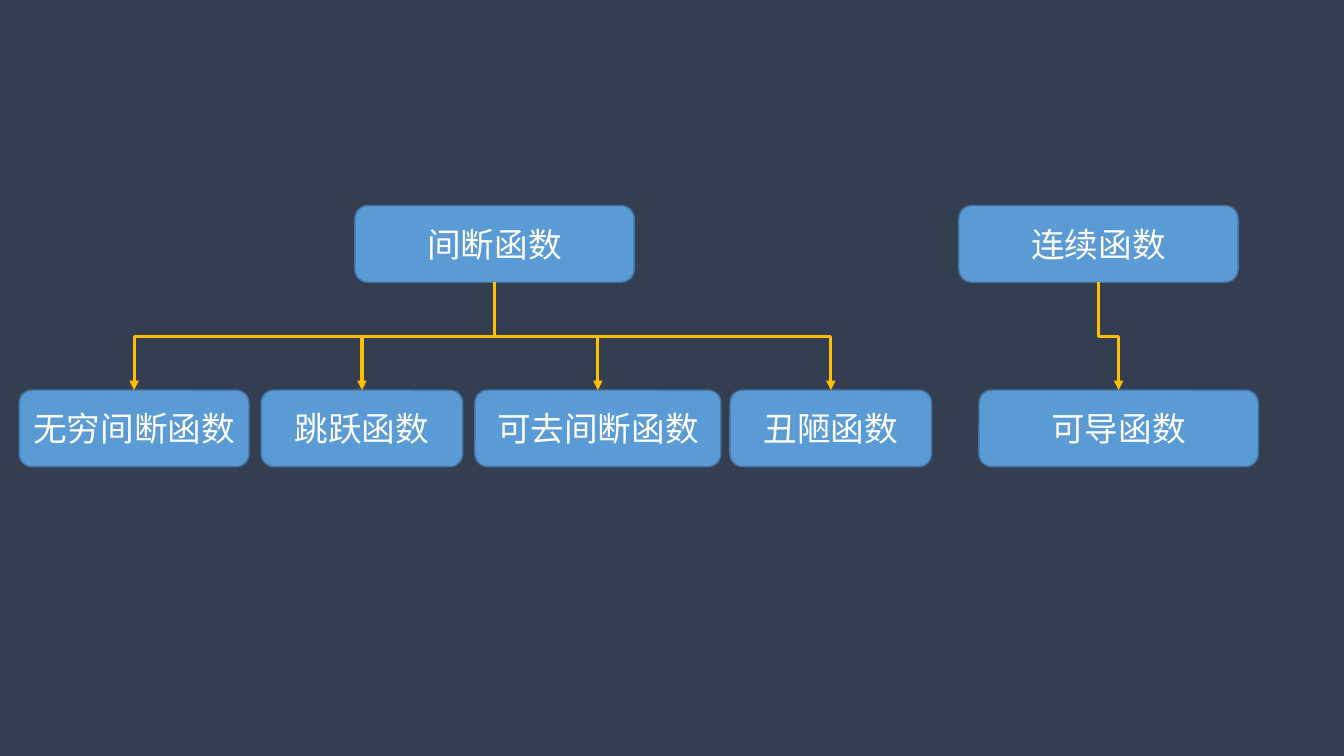
from lxml.etree import SubElement
from pptx import Presentation
from pptx.dml.color import RGBColor
from pptx.enum.shapes import MSO_CONNECTOR, MSO_SHAPE
from pptx.enum.text import MSO_ANCHOR, PP_ALIGN
from pptx.oxml.ns import qn
from pptx.util import Inches, Pt

FONT = "Noto Sans CJK SC"
BOX_HEIGHT = 0.76
PARENT_TOP, CHILD_TOP = 2.04, 3.87
BOTTOM_SITE, TOP_SITE = 2, 0

# Each tree: parent (text, left, width), then its children.
TREES = [
    (("连续函数", 9.51, 2.77), [("可导函数", 9.71, 2.77)]),
    (("间断函数", 3.52, 2.77), [
        ("无穷间断函数", 0.19, 2.28),
        ("跳跃函数", 2.59, 2),
        ("可去间断函数", 4.71, 2.44),
        ("丑陋函数", 7.24, 2),
    ]),
]


def color(value):
    return RGBColor.from_string(value)


def add_text(tf, text, size=24, fill="FFFFFF", align=PP_ALIGN.CENTER):
    tf.word_wrap = True
    tf.vertical_anchor = MSO_ANCHOR.MIDDLE
    p = tf.paragraphs[0]
    p.alignment = align
    r = p.add_run()
    r.text = text
    r.font.size = Pt(size)
    r.font.name = FONT
    r.font.color.rgb = color(fill)
    SubElement(r.font._element, qn("a:ea"), typeface=FONT)


def add_box(slide, text, left, width, top):
    sp = slide.shapes.add_shape(
        MSO_SHAPE.ROUNDED_RECTANGLE,
        Inches(left), Inches(top), Inches(width), Inches(BOX_HEIGHT))
    sp.shadow.inherit = False
    sp.fill.solid()
    sp.fill.fore_color.rgb = color("5B9BD5")
    sp.line.color.rgb = color("43739E")
    sp.line.width = Pt(1)
    add_text(sp.text_frame, text)
    return sp


def add_elbow_arrow(slide, parent, child):
    """Join parent's bottom to child's top, leaving and arriving vertically."""
    cxn = slide.shapes.add_connector(MSO_CONNECTOR.ELBOW, 0, 0, 0, 0)
    cxn.begin_connect(parent, BOTTOM_SITE)
    cxn.end_connect(child, TOP_SITE)
    x1, y1 = parent.left + parent.width // 2, parent.top + parent.height
    x2, y2 = child.left + child.width // 2, child.top

    # The frame is turned a quarter, so its width is the vertical drop.
    cxn.width, cxn.height = y2 - y1, abs(x2 - x1)
    cxn.left = (x1 + x2 - cxn.width) // 2
    cxn.top = (y1 + y2 - cxn.height) // 2
    goes_right = x2 > x1
    spPr = cxn._element.spPr
    xfrm = spPr.find(qn("a:xfrm"))
    xfrm.set("rot", str((270 if goes_right else 90) * 60000))
    xfrm.set("flipH", "1" if goes_right else "0")
    xfrm.set("flipV", "0")

    cxn.line.color.rgb = color("FFC000")
    cxn.line.width = Pt(2.25)
    SubElement(spPr.find(qn("a:ln")), qn("a:tailEnd"), type="triangle")
    SubElement(spPr, qn("a:effectLst"))


def add_tree(slide, parent, children):
    parent_box = add_box(slide, *parent, PARENT_TOP)
    for child in children:
        child_box = add_box(slide, *child, CHILD_TOP)
        add_elbow_arrow(slide, parent_box, child_box)


def main():
    prs = Presentation()
    prs.slide_width, prs.slide_height = Inches(13.33), Inches(7.5)
    slide = prs.slides.add_slide(prs.slide_layouts[6])
    slide.background.fill.solid()
    slide.background.fill.fore_color.rgb = color("333F50")
    for parent, children in TREES:
        add_tree(slide, parent, children)
    prs.save("out.pptx")


if __name__ == "__main__":
    main()
